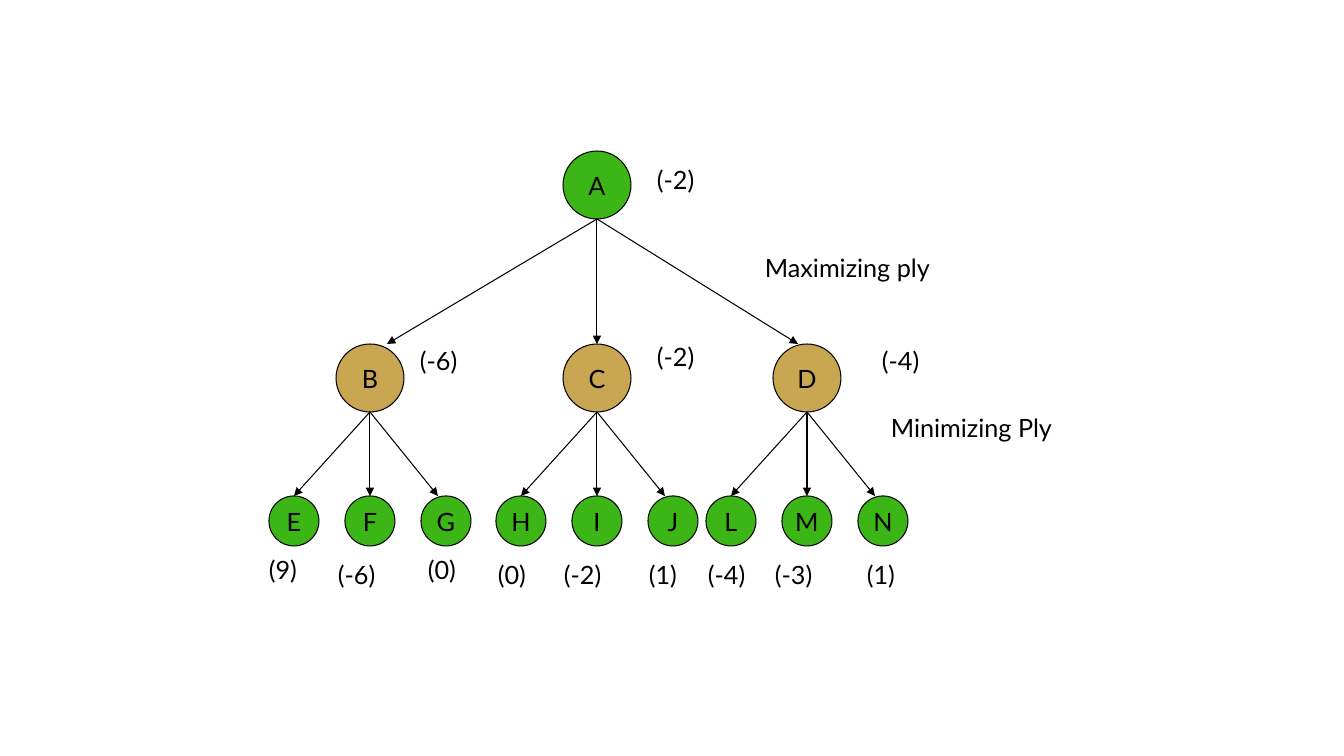
from pptx import Presentation
from pptx.dml.color import RGBColor
from pptx.enum.shapes import MSO_CONNECTOR as LINK, MSO_SHAPE as SHAPE
from pptx.enum.text import MSO_ANCHOR as ANCHOR, MSO_AUTO_SIZE as FIT, PP_ALIGN as ALIGN
from pptx.oxml.ns import qn
from pptx.util import Pt
from lxml.etree import SubElement

SCALE = 914400 / 100.8
FONT = "Lato"
BLACK, GREEN, GOLD = "000000", "3CB616", "C8A652"
BIG, SMALL = 68, 50
ROOT_TOP, MID_TOP, LEAF_TOP = 151, 344, 496
ROOT_X, LEAF_GAP = 597, 76

# Name, centre x, arrow tip shift, value, value left and top, leaves.
# Each leaf: name, arrow tip shift, value, value left and top.
TREE = [
    ("B", 370, 17, "(-6)", 410, 340, [
        ("E", 0, "(9)", 259, 549),
        ("F", 0, "(-6)", 328, 554),
        ("G", -8, "(0)", 418, 549)]),
    ("C", 597, 0, "(-2)", 647, 336, [
        ("H", 0, "(0)", 488, 554),
        ("I", 0, "(-2)", 554, 554),
        ("J", -8, "(1)", 639, 554)]),
    ("D", 807, -9, "(-4)", 872, 340, [
        ("L", 0, "(-4)", 698, 554),
        ("M", 0, "(-3)", 765, 554),
        ("N", -8, "(1)", 857, 554)]),
]


def px(n):
    return round(n * SCALE)


def color(code):
    return RGBColor.from_string(code)


def write(frame, text, align):
    frame.word_wrap = False
    para = frame.paragraphs[0]
    para.alignment = align
    run = para.add_run()
    run.text = text
    run.font.name = FONT
    run.font.size = Pt(18)
    run.font.color.rgb = color(BLACK)


def add_node(slide, name, x, top, size, fill):
    """Draw a named circle whose centre is at x."""
    node = slide.shapes.add_shape(
        SHAPE.OVAL, px(x - size // 2), px(top), px(size), px(size))
    node.shadow.inherit = False
    node.fill.solid()
    node.fill.fore_color.rgb = color(fill)
    node.line.color.rgb = color(BLACK)
    node.line.width = Pt(0.75)
    node.text_frame.vertical_anchor = ANCHOR.MIDDLE
    write(node.text_frame, name, ALIGN.CENTER)
    return node


def add_label(slide, text, left, top, width, height=50):
    box = slide.shapes.add_textbox(px(left), px(top), px(width), px(height))
    write(box.text_frame, text, ALIGN.LEFT)
    box.text_frame.auto_size = FIT.SHAPE_TO_FIT_TEXT


def add_value(slide, text, left, top):
    add_label(slide, text, left, top, 77 if "-" in text else 65)


def add_arrow(slide, x1, y1, x2, y2, shift, child):
    """Point at the child's top, moved sideways by shift."""
    line = slide.shapes.add_connector(
        LINK.STRAIGHT, px(x1), px(y1), px(x2 + shift), px(y2))
    if shift == 0:
        line.end_connect(child, 0)
    line.line.color.rgb = color(BLACK)
    line.line.width = Pt(0.75)
    props = line._element.spPr
    SubElement(props.find(qn("a:ln")), qn("a:tailEnd"), type="triangle")
    SubElement(props, qn("a:effectLst"))


def add_branch(slide, name, x, shift, value, left, top, leaves):
    """Draw a middle node with its value and its leaves."""
    node = add_node(slide, name, x, MID_TOP, BIG, GOLD)
    add_arrow(slide, ROOT_X, ROOT_TOP + BIG, x, MID_TOP, shift, node)
    add_value(slide, value, left, top)
    for i, (mark, move, score, score_x, score_y) in enumerate(leaves):
        leaf_x = x + (i - 1) * LEAF_GAP
        leaf = add_node(slide, mark, leaf_x, LEAF_TOP, SMALL, GREEN)
        add_arrow(slide, x, MID_TOP + BIG, leaf_x, LEAF_TOP, move, leaf)
        add_value(slide, score, score_x, score_y)


def main():
    deck = Presentation()
    deck.slide_width, deck.slide_height = px(1344), px(756)
    slide = deck.slides.add_slide(deck.slide_layouts[6])
    add_node(slide, "A", ROOT_X, ROOT_TOP, BIG, GREEN)
    add_value(slide, "(-2)", 647, 159)
    for branch in TREE:
        add_branch(slide, *branch)
    add_label(slide, "Maximizing ply", 755, 247, 186, 40)
    add_label(slide, "Minimizing Ply", 881, 407, 188, 40)
    deck.save("out.pptx")


if __name__ == "__main__":
    main()
